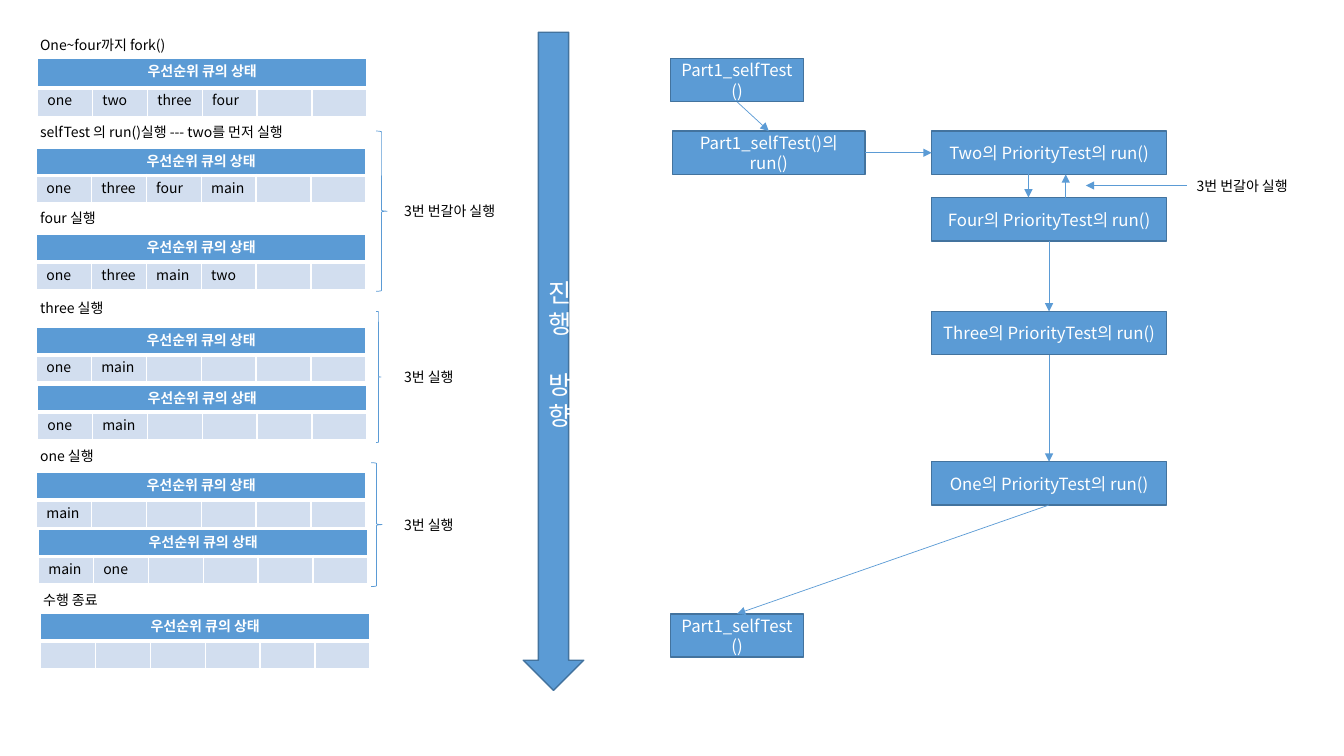
import pptx
import pptx.dml.color
import pptx.enum.shapes
import pptx.enum.text
import pptx.oxml.ns
import pptx.util
from lxml import etree
from pptx.util import Inches

FONT = "Noto Sans CJK KR"
COLORS = {"blue": "5B9BD5", "edge": "43739E", "pale": "D2DEEF", "white": "FFFFFF", "black": "000000"}
SHAPES = pptx.enum.shapes.MSO_SHAPE
ALIGN = pptx.enum.text.PP_ALIGN
ANCHOR = pptx.enum.text.MSO_ANCHOR
TOP, LEFT, BOTTOM, RIGHT = range(4)
QUEUE_TITLE = "우선순위 큐의 상태"
QUEUE_SLOTS = 6
QUEUES = [
    (0.37, 0.58, 0.29, ["one", "two", "three", "four"]),
    (0.36, 1.47, 0.27, ["one", "three", "four", "main"]),
    (0.36, 2.33, 0.27, ["one", "three", "main", "two"]),
    (0.36, 3.25, 0.27, ["one", "main"]),
    (0.37, 3.82, 0.27, ["one", "main"]),
    (0.36, 4.69, 0.27, ["main"]),
    (0.38, 5.25, 0.27, ["main", "one"]),
    (0.4, 6.09, 0.27, []),
]
LABELS = [
    (0.3, 0.31, 2.45, "One~four까지 fork()"),
    (0.3, 1.17, 2.8, "selfTest 의 run()실행 --- two를 먼저 실행"),
    (0.3, 2.03, 2.45, "four 실행"),
    (0.3, 2.92, 2.45, "three 실행"),
    (0.3, 4.39, 2.45, "one 실행"),
    (0.33, 5.82, 2.45, "수행 종료"),
    (3.91, 1.96, 1.28, "3번 번갈아 실행"),
    (3.91, 3.6, 1.28, "3번 실행"),
    (3.91, 5.07, 1.28, "3번 실행"),
    (11.77, 1.71, 1.28, "3번 번갈아 실행"),
]
BRACES = [(3.73, 1.3, 0.11, 1.59), (3.73, 3.09, 0.05, 1.3), (3.68, 4.59, 0.11, 1.23)]
STEPS = {
    "start": (6.65, 0.58, 1.32, "Part1_selfTest()"),
    "run": (6.67, 1.3, 1.91, "Part1_selfTest()의 run()"),
    "two": (9.24, 1.3, 2.33, "Two의 PriorityTest의 run()"),
    "four": (9.24, 1.96, 2.33, "Four의 PriorityTest의 run()"),
    "three": (9.24, 3.09, 2.33, "Three의 PriorityTest의 run()"),
    "one": (9.24, 4.58, 2.33, "One의 PriorityTest의 run()"),
    "end": (6.65, 6.09, 1.32, "Part1_selfTest()"),
}
LINKS = [
    ("start", BOTTOM, "run", TOP),
    ("run", RIGHT, "two", LEFT),
    ("four", BOTTOM, "three", TOP),
    ("three", BOTTOM, "one", TOP),
    ("one", BOTTOM, "end", TOP),
]
FREE_ARROWS = [(10.2, 1.73, 10.2, 1.96), (10.57, 1.96, 10.57, 1.73), (11.77, 1.84, 10.77, 1.84)]


def rgb(name):
    """Return the named colour."""
    return pptx.dml.color.RGBColor.from_string(COLORS[name])


def add_child(parent, tag, **attributes):
    """Append a drawing element to a parent element."""
    return etree.SubElement(parent, pptx.oxml.ns.qn(tag), **attributes)


def write(para, text, size, color, align=ALIGN.LEFT, bold=False):
    """Write one run into a paragraph."""
    para.alignment = align
    para.line_spacing = pptx.util.Pt(round(size * 1.22, 1))
    if not text:
        add_child(para._p, "a:endParaRPr", sz=str(size * 100))
        return
    span = para.add_run()
    span.text = text
    span.font.name = FONT
    span.font.size = pptx.util.Pt(size)
    span.font.bold = bold
    span.font.color.rgb = rgb(color)
    add_child(span.font._element, "a:ea", typeface=FONT)


def add_label(page, left, top, width, text):
    """Add a small black caption."""
    box = page.shapes.add_textbox(Inches(left), Inches(top), Inches(width), Inches(0.27))
    box.text_frame.word_wrap = True
    write(box.text_frame.paragraphs[0], text, 10, "black")


def style_cell(cell, fill, top_width, bottom_width):
    """Give a cell its white borders and its fill."""
    properties = cell._tc.get_or_add_tcPr()
    widths = {"a:lnL": 1, "a:lnR": 1, "a:lnT": top_width, "a:lnB": bottom_width}
    for tag, width in widths.items():
        border = add_child(properties, tag, w=str(pptx.util.Pt(width)))
        add_child(add_child(border, "a:solidFill"), "a:srgbClr", val=COLORS["white"])
    cell.fill.solid()
    cell.fill.fore_color.rgb = rgb(fill)


def add_queue(page, left, top, row_height, names):
    """Add a queue table with a merged heading and six slots."""
    frame = page.shapes.add_table(
        2, QUEUE_SLOTS, Inches(left), Inches(top), Inches(3.27), Inches(2 * row_height))
    table = frame.table
    table.horz_banding = False
    table.cell(0, 0).merge(table.cell(0, QUEUE_SLOTS - 1))
    for slot in range(QUEUE_SLOTS):
        heading, entry = table.cell(0, slot), table.cell(1, slot)
        style_cell(heading, "blue", 1, 3)
        style_cell(entry, "pale", 3, 1)
        title = QUEUE_TITLE if slot == 0 else ""
        name = names[slot] if slot < len(names) else ""
        write(heading.text_frame.paragraphs[0], title, 10, "white", ALIGN.CENTER, True)
        write(entry.text_frame.paragraphs[0], name, 10, "black")


def add_block(page, kind, left, top, width, height):
    """Add a blue shape ready for centred text."""
    block = page.shapes.add_shape(kind, Inches(left), Inches(top), Inches(width), Inches(height))
    block.shadow.inherit = False
    block.fill.solid()
    block.fill.fore_color.rgb = rgb("blue")
    block.line.color.rgb = rgb("edge")
    block.line.width = pptx.util.Pt(1)
    block.text_frame.word_wrap = True
    block.text_frame.vertical_anchor = ANCHOR.MIDDLE
    return block


def add_step(page, left, top, width, text):
    """Add one box of the flow."""
    step = add_block(page, SHAPES.RECTANGLE, left, top, width, 0.43)
    write(step.text_frame.paragraphs[0], text, 12, "white", ALIGN.CENTER)
    return step


def add_direction(page):
    """Add the tall arrow with its vertical title."""
    frame = add_block(page, SHAPES.DOWN_ARROW, 5.19, 0.32, 0.6, 6.53).text_frame
    for index, letter in enumerate("진행방향"):
        para = frame.paragraphs[0] if index == 0 else frame.add_paragraph()
        write(para, letter, 18, "white", ALIGN.CENTER)
        if index == 2:
            para.space_before = pptx.util.Pt(22)


def add_brace(page, left, top, width, height):
    """Add a thin right brace."""
    brace = page.shapes.add_shape(
        SHAPES.RIGHT_BRACE, Inches(left), Inches(top), Inches(width), Inches(height))
    brace.shadow.inherit = False
    brace.fill.background()
    brace.line.color.rgb = rgb("blue")
    brace.line.width = pptx.util.Pt(0.5)


def add_arrow(page, *ends):
    """Add a thin straight arrow."""
    arrow = page.shapes.add_connector(
        pptx.enum.shapes.MSO_CONNECTOR.STRAIGHT, *[Inches(end) for end in ends])
    arrow.line.color.rgb = rgb("blue")
    arrow.line.width = pptx.util.Pt(0.5)
    add_child(arrow.line._get_or_add_ln(), "a:tailEnd", type="triangle")
    add_child(arrow._element.spPr, "a:effectLst")
    return arrow


def main():
    """Build the slide."""
    deck = pptx.Presentation()
    deck.slide_width, deck.slide_height = Inches(13.33), Inches(7.5)
    page = deck.slides.add_slide(deck.slide_layouts[6])
    for queue in QUEUES:
        add_queue(page, *queue)
    for label in LABELS:
        add_label(page, *label)
    for brace in BRACES:
        add_brace(page, *brace)
    add_direction(page)
    steps = {name: add_step(page, *step) for name, step in STEPS.items()}
    for source, source_side, target, target_side in LINKS:
        arrow = add_arrow(page, 0, 0, 0, 0)
        arrow.begin_connect(steps[source], source_side)
        arrow.end_connect(steps[target], target_side)
    for ends in FREE_ARROWS:
        add_arrow(page, *ends)
    deck.save("out.pptx")


if __name__ == "__main__":
    main()
